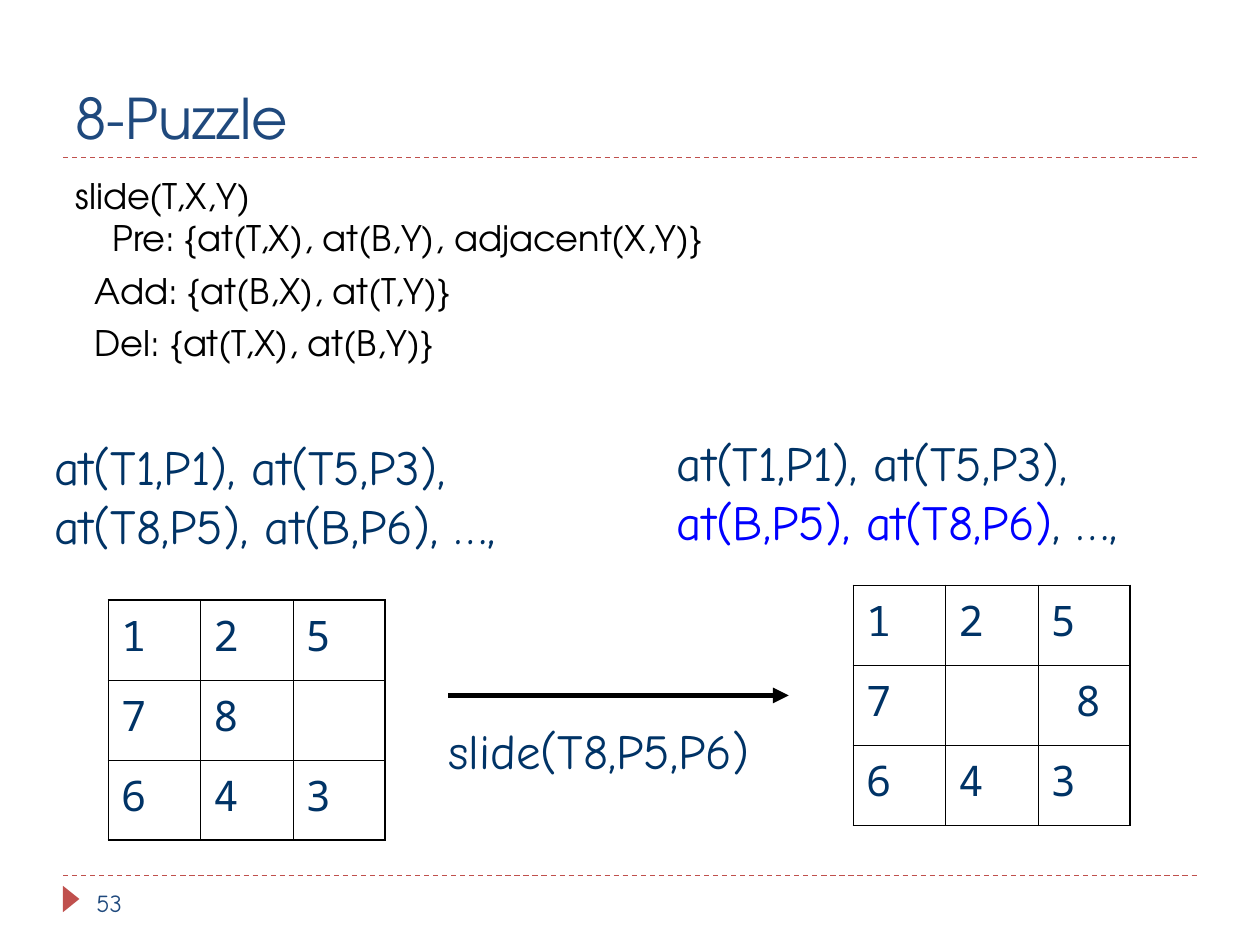
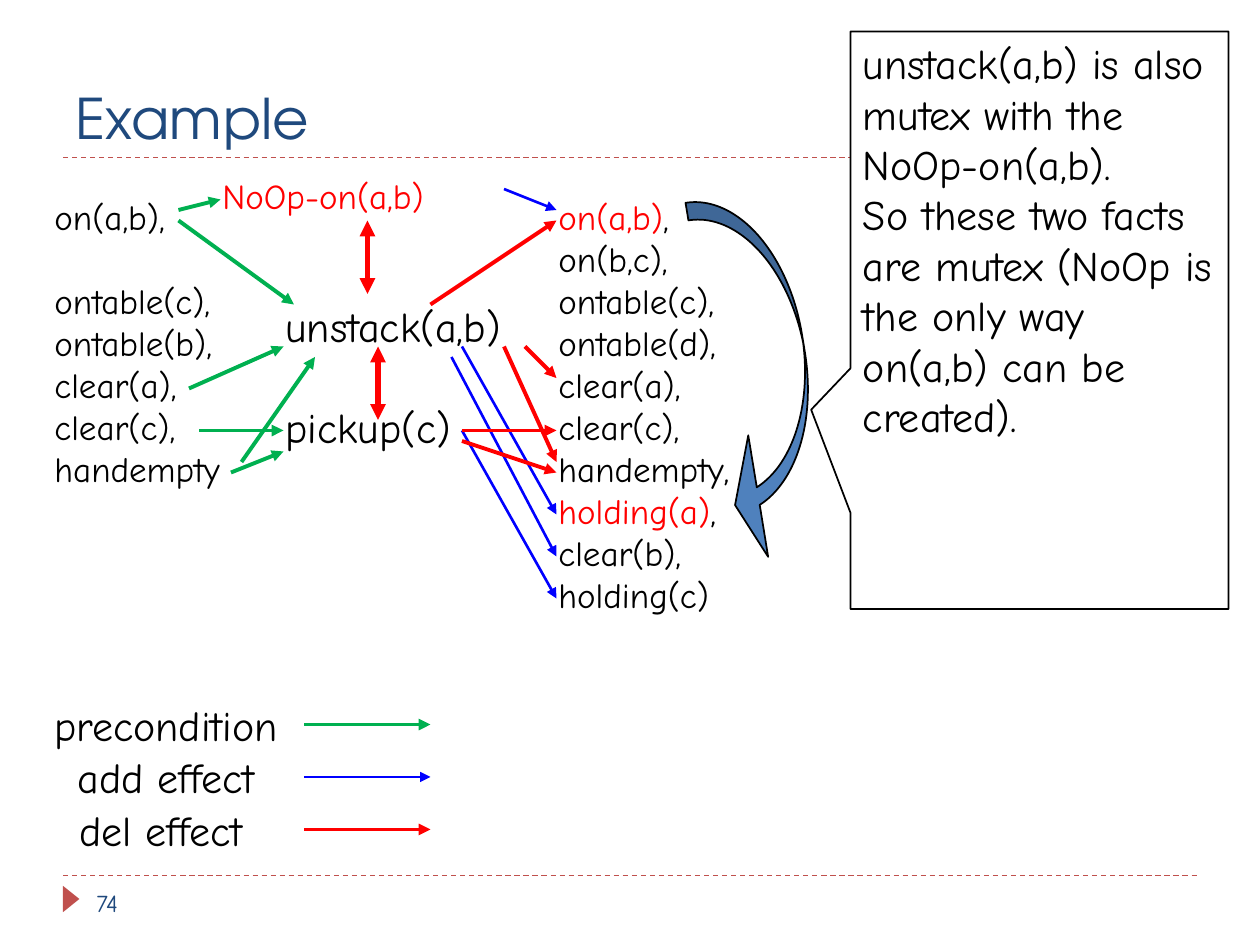
from lxml import etree
from pptx import Presentation
from pptx.dml.color import RGBColor
from pptx.enum import dml, shapes, text
from pptx.oxml import ns
from pptx.util import Pt

COLORS = {
    "title": "1F497D", "rule": "C0504D", "navy": "003366", "black": "000000",
    "white": "FFFFFF", "blue": "0000FF", "red": "FF0000", "green": "00B050",
    "curve": "4F81BD",
}
HEADING = "TeX Gyre Adventor"
HAND = "Comic Neue"
MONO = "Noto Sans Mono"

TITLE_ONLY, TITLE_AND_BODY = 5, 1
CELL_WIDTH, CELL_HEIGHT = 52.7, 45.75
OUTER_BORDER, INNER_BORDER = 1.08, 0.45

# Arrow ends lie on a 6 pt grid: x1, y1, x2, y2
PRECONDITIONS = [
    (102, 126, 168, 174), (108, 222, 162, 198), (138, 264, 180, 204),
    (114, 246, 162, 246), (132, 270, 162, 258), (102, 120, 126, 114),
]
ADD_EFFECTS = [
    (264, 246, 318, 342), (264, 198, 318, 294), (258, 204, 318, 318),
    (288, 108, 318, 120),
]
DEL_EFFECTS = [
    (246, 174, 318, 126), (300, 198, 318, 216), (288, 198, 318, 264),
    (264, 252, 318, 270), (264, 246, 318, 246),
]
MUTEXES = [(216, 198, 216, 240), (210, 126, 210, 168)]


def rgb(name):
    return RGBColor.from_string(COLORS[name])


def points(*lengths):
    return [Pt(length) for length in lengths]


def style(span, font, size, color):
    span.font.name = font
    span.font.size = Pt(size)
    span.font.color.rgb = rgb(color)


def write(frame, lines, font, size, color):
    """Write one paragraph per line; a line is a string or a list of (text, colour)."""
    for index, line in enumerate(lines):
        para = frame.paragraphs[0] if index == 0 else frame.add_paragraph()
        para.alignment = text.PP_ALIGN.LEFT
        spans = [(line, color)] if isinstance(line, str) else line
        for words, span_color in spans:
            span = para.add_run()
            span.text = words
            style(span, font, size, span_color)


def add_text(page, area, lines, size, color="black", font=HAND):
    frame = page.shapes.add_textbox(*points(*area)).text_frame
    frame.word_wrap = True
    write(frame, lines, font, size, color)
    return frame


def add_line(page, ends, color, width):
    line = page.shapes.add_connector(shapes.MSO_CONNECTOR.STRAIGHT, *points(*ends))
    line.line.color.rgb = rgb(color)
    line.line.width = Pt(width)
    etree.SubElement(line._element.spPr, ns.qn("a:effectLst"))
    return line


def add_arrow(page, ends, color, width, double=False):
    outline = add_line(page, ends, color, width).line._get_or_add_ln()
    for tag in ["a:headEnd", "a:tailEnd"] if double else ["a:tailEnd"]:
        etree.SubElement(outline, ns.qn(tag), type="triangle")


def add_preset(page, kind, area, fill, outline=None, adjustments=()):
    shape = page.shapes.add_shape(kind, *points(*area))
    shape.shadow.inherit = False
    shape.fill.solid()
    shape.fill.fore_color.rgb = rgb(fill)
    if outline:
        shape.line.color.rgb = rgb(outline)
        shape.line.width = Pt(1)
    else:
        shape.line.fill.background()
    for index, value in enumerate(adjustments):
        shape.adjustments[index] = value
    return shape


def place(placeholder, area):
    placeholder.left, placeholder.top, placeholder.width, placeholder.height = points(*area)
    placeholder.text_frame.auto_size = text.MSO_AUTO_SIZE.NONE
    return placeholder.text_frame


def add_page(deck, layout, title, number):
    """Add a slide with its title, dashed rules, marker and slide number."""
    page = deck.slides.add_slide(deck.slide_layouts[layout])
    frame = place(page.shapes.title, (36, 12.2, 648, 77.8))
    frame.vertical_anchor = text.MSO_ANCHOR.BOTTOM
    write(frame, [title], HEADING, 32, "title")
    for y in (90, 500.4):
        rule = add_line(page, (36, y, 684, y), "rule", 0.75)
        rule.line.dash_style = dml.MSO_LINE.DASH
    marker = add_preset(page, shapes.MSO_SHAPE.ISOSCELES_TRIANGLE,
                        (33.1, 509, 15.1, 9.4), "rule")
    marker.rotation = 90
    add_text(page, (48, 504, 156, 25.2), [number], 14, "title")
    return page


def add_action(page, lines):
    """Fill the body with an action schema, each line as (left, space before, words)."""
    frame = place(page.placeholders[1], (36, 95.8, 648, 113.8))
    write(frame, [words for _, _, words in lines], HEADING, 20.1, "black")
    for para, (left, space, _) in zip(frame.paragraphs, lines):
        para.space_before = Pt(space)
        properties = para._p.get_or_add_pPr()
        properties.set("marL", str(Pt(left)))
        properties.set("indent", "0")
        etree.SubElement(properties, ns.qn("a:buNone"))


def set_borders(cell, row, column):
    properties = cell._tc.get_or_add_tcPr()
    edges = {"a:lnL": column == 0, "a:lnR": column == 2,
             "a:lnT": row == 0, "a:lnB": row == 2}
    for tag, outer in edges.items():
        width = Pt(OUTER_BORDER if outer else INNER_BORDER)
        border = etree.SubElement(properties, ns.qn(tag), w=str(width))
        fill = etree.SubElement(border, ns.qn("a:solidFill"))
        etree.SubElement(fill, ns.qn("a:srgbClr"), val=COLORS["black"])


def add_puzzle(page, left, top, tiles):
    """Add a 3 by 3 board; a dot in tiles is the blank square."""
    area = points(left, top, 3 * CELL_WIDTH, 3 * CELL_HEIGHT)
    board = page.shapes.add_table(3, 3, *area).table
    board.first_row = board.horz_banding = False
    for row, tile_row in enumerate(tiles):
        for column, tile in enumerate(tile_row):
            cell = board.cell(row, column)
            set_borders(cell, row, column)
            cell.fill.background()
            if tile != ".":
                write(cell.text_frame, [tile], MONO, 24, "navy")
    return board


def build_puzzle_page(deck):
    page = add_page(deck, TITLE_AND_BODY, "8-Puzzle", "53")
    add_action(page, [
        (0, 0, "slide(T,X,Y)"),
        (21, 0, "Pre: {at(T,X), at(B,Y), adjacent(X,Y)}"),
        (11, 6, "Add: {at(B,X), at(T,Y)}"),
        (11, 6, "Del: {at(T,X), at(B,Y)}"),
    ])
    add_puzzle(page, 62, 342.9, ["125", "78.", "643"])
    add_text(page, (24.2, 246.2, 340.6, 74.2),
             ["at(T1,P1), at(T5,P3), at(T8,P5), at(B,P6), …,"], 28, "navy")
    add_arrow(page, (256.3, 397.4, 450.7, 397.4), "black", 3)
    add_text(page, (249, 408.2, 230.4, 40.3), ["slide(T8,P5,P6)"], 28, "navy")
    moved = add_puzzle(page, 487.7, 334.5, ["125", "7.8", "643"])
    moved.cell(1, 2).margin_left = Pt(21.6)
    add_text(page, (379.7, 243.8, 340.6, 74.2), [[
        ("at(T1,P1), at(T5,P3), ", "navy"),
        ("at(B,P5), at(T8,P6)", "blue"),
        (", …,", "navy"),
    ]], 28)


def add_legend(page):
    entries = [(23.8, "precondition", "green", 2.25), (37.2, "add effect", "blue", 1.5),
               (38.2, "del effect", "red", 2.25)]
    for index, (left, label, color, width) in enumerate(entries):
        y = 414 + 30 * index
        add_text(page, (left, y - 18, 148, 36), [label], 24)
        add_arrow(page, (174, y, 246, y), color, width)


def add_callout(page):
    callout = add_preset(page, shapes.MSO_SHAPE.RECTANGULAR_CALLOUT, (486, 18, 216, 330),
                         "white", "black", (-0.604, 0.155))
    callout.text_frame.vertical_anchor = text.MSO_ANCHOR.TOP
    write(callout.text_frame, [
        "unstack(a,b) is also mutex with the NoOp-on(a,b).",
        "So these two facts are mutex (NoOp is the only way on(a,b) can be created).",
    ], HAND, 24, "black")


def build_mutex_page(deck):
    page = add_page(deck, TITLE_ONLY, "Example", "74")
    add_legend(page)
    curve = add_preset(page, shapes.MSO_SHAPE.CURVED_LEFT_ARROW, (408.4, 110.2, 53.5, 210.2),
                       "curve", "black", (0.19, 1.315, 0.26))
    curve.rotation = 350.7
    add_callout(page)

    before = add_text(page, (24, 108, 126, 175.7), [
        "on(a,b),", "ontable(c),", "ontable(b),", "clear(a),", "clear(c),", "handempty"], 20)
    before.paragraphs[1].space_before = Pt(24)
    actions = add_text(page, (156, 168, 150.5, 93.6), ["unstack(a,b)", "pickup(c)"], 24)
    actions.paragraphs[1].space_before = Pt(29)
    add_text(page, (312, 108, 126, 247.7), [
        [("on(a,b)", "red"), (",", "black")],
        "on(b,c),", "ontable(c),", "ontable(d),", "clear(a),", "clear(c),", "handempty,",
        [("holding(a)", "red"), (",", "black")],
        "clear(b),", "holding(c)"], 20)
    add_text(page, (120, 96, 180, 31.7), ["NoOp-on(a,b)"], 20, "red")

    for arrows, color, width in [(PRECONDITIONS, "green", 2.25), (ADD_EFFECTS, "blue", 1.5),
                                 (DEL_EFFECTS, "red", 2.25)]:
        for ends in arrows:
            add_arrow(page, ends, color, width)
    for ends in MUTEXES:
        add_arrow(page, ends, "red", 3, double=True)


def main():
    deck = Presentation()
    deck.slide_width, deck.slide_height = points(720, 540)
    build_puzzle_page(deck)
    build_mutex_page(deck)
    deck.save("out.pptx")


if __name__ == "__main__":
    main()
